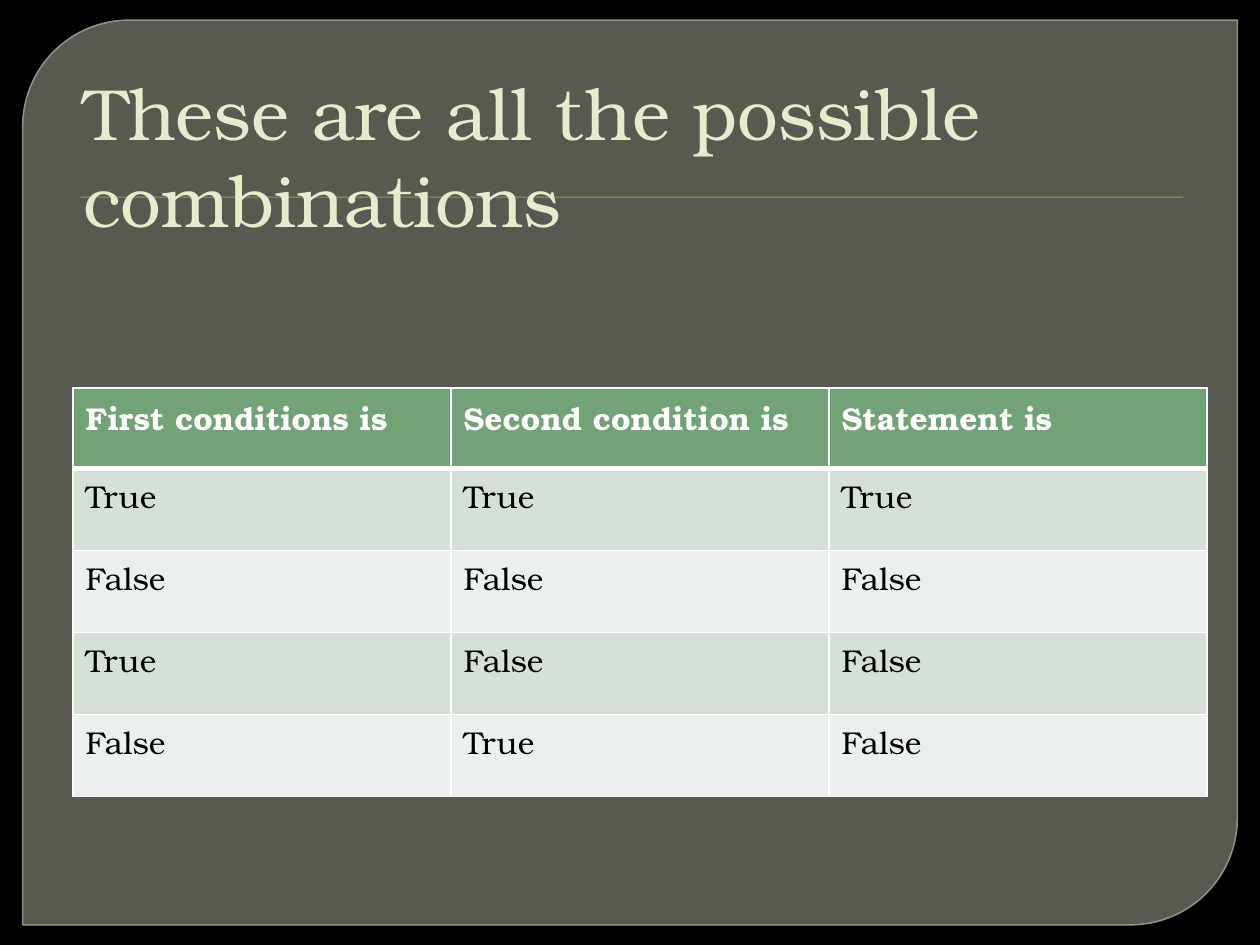
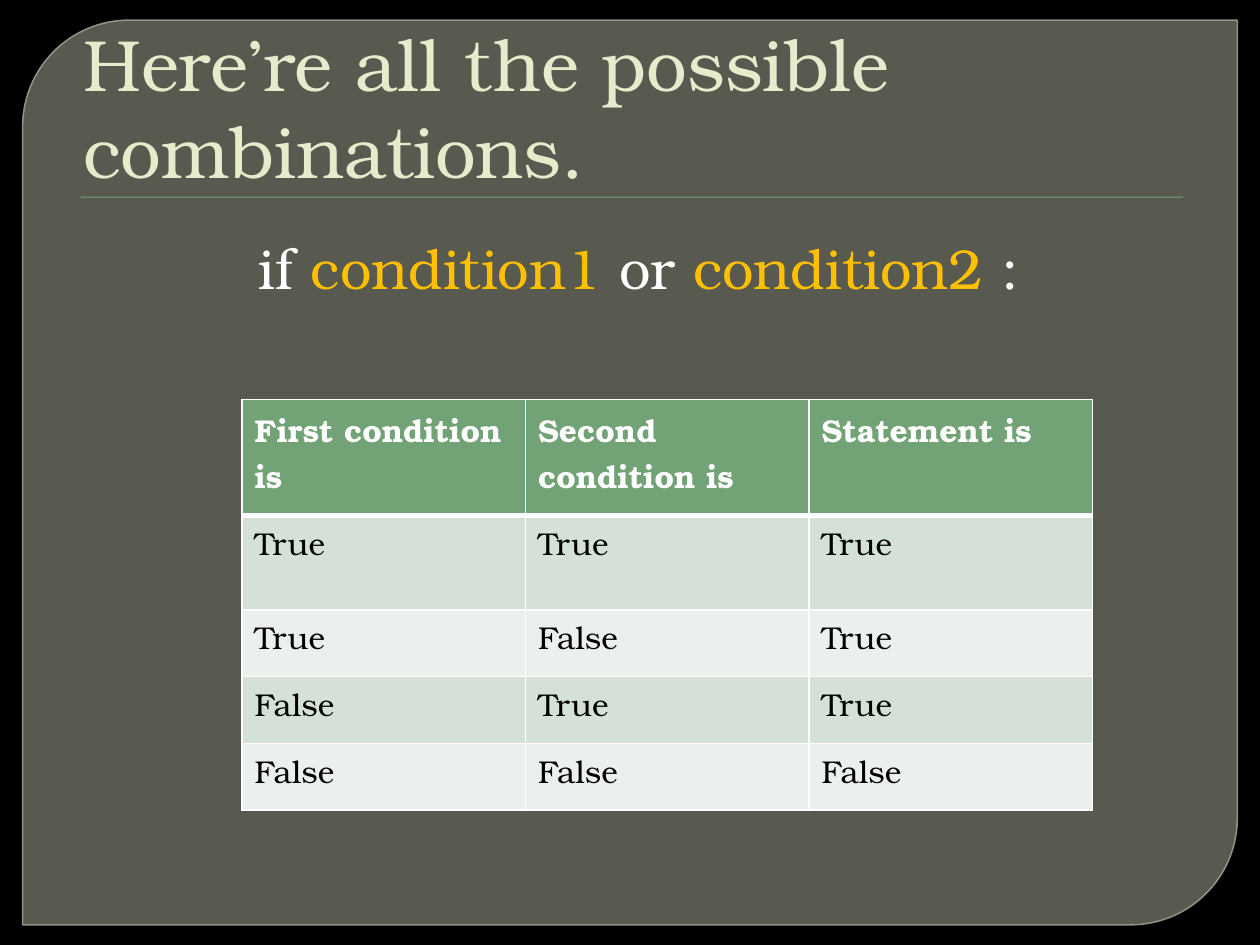
from pptx import Presentation
from pptx.dml.color import RGBColor
from pptx.enum.shapes import MSO_SHAPE as SHAPE
from pptx.enum.text import MSO_ANCHOR as ANCHOR, MSO_AUTO_SIZE as AUTO, PP_ALIGN as ALIGN
from pptx.oxml.ns import qn
from pptx.util import Inches, Pt
from lxml import etree

FONT = "TeX Gyre Bonum"
BLACK, WHITE, GREEN = "000000", "FFFFFF", "72A376"
CREAM, AMBER = "E7EACB", "FFC000"
BANDS = ["D5E0D6", "EBF0EC"]


def paint(fill, color, alpha=None):
    fill.solid()
    fill.fore_color.rgb = RGBColor.from_string(color)
    if alpha:
        clr = fill._xPr.find(".//" + qn("a:srgbClr"))
        etree.SubElement(clr, qn("a:alpha"), val=str(alpha * 1000))


def style(r, size, color, bold=False):
    r.font.name, r.font.size, r.font.bold = FONT, Pt(size), bold
    paint(r.font.fill, color)


prs = Presentation()
prs.slide_width, prs.slide_height = Inches(10), Inches(7.5)
master = prs.slide_master
paint(master.background.fill, BLACK)

code_line = [(" if ", WHITE), ("condition1", AMBER), (" or ", WHITE),
             ("condition2", AMBER), (" :", WHITE)]
slides = [
    dict(title="These are all the possible combinations", title_height=1.64, code=[],
         left=0.58, top=3.08, col_width=3, row_heights=[0.64] + [0.65] * 4,
         rows=["First conditions is|Second condition is|Statement is",
               "True|True|True", "False|False|False",
               "True|False|False", "False|True|False"]),
    dict(title="Here’re all the possible combinations.", title_height=1.25, code=code_line,
         left=1.92, top=3.17, col_width=2.25, row_heights=[0.92, 0.75] + [0.53] * 3,
         rows=["First condition is|Second condition is|Statement is",
               "True|True|True", "True|False|True",
               "False|True|True", "False|False|False"]),
]

for number, d in enumerate(slides):
    s = prs.slides.add_slide(prs.slide_layouts[1 if d["code"] else 5])

    # Frame and title rule, moved to the master so every slide shows them
    if number == 0:
        frame = s.shapes.add_shape(SHAPE.ROUND_2_DIAG_RECTANGLE, Inches(0.18), Inches(0.16),
                                   Inches(9.64), Inches(7.18))
        frame.adjustments[0], frame.adjustments[1] = 0.118, 0
        paint(frame.fill, "888B7B", 65)
        paint(frame.line.fill, "9DA090", 88)
        frame.line.width = Pt(0.87)
        rule = s.shapes.add_shape(SHAPE.RECTANGLE, Inches(0.64), Inches(1.56),
                                  Inches(8.75), Inches(0.01))
        paint(rule.fill, GREEN)
        rule.line.fill.background()
        for i, sp in enumerate([frame, rule]):
            sp.shadow.inherit = False
            master.shapes._spTree.insert(2 + i, sp._element)

    # Title
    title = s.shapes.title
    title.left, title.top = Inches(0.5), Inches(0.28)
    title.width, title.height = Inches(9), Inches(d["title_height"])
    tf = title.text_frame
    tf.text = d["title"]
    tf.auto_size, tf.vertical_anchor, tf.margin_bottom = AUTO.NONE, ANCHOR.BOTTOM, 0
    p = tf.paragraphs[0]
    p.alignment, p.line_spacing = ALIGN.LEFT, Pt(49.7)
    p._p.get_or_add_pPr().set("marL", str(Inches(0.06)))
    style(p.runs[0], 41.4, CREAM)

    # Line of code
    if d["code"]:
        body = s.placeholders[1]
        body.left, body.top = Inches(0.5), Inches(1.8)
        body.width, body.height = Inches(9), Inches(4.95)
        tf = body.text_frame
        tf.auto_size = AUTO.NONE
        p = tf.paragraphs[0]
        p.alignment, p.space_before = ALIGN.CENTER, Pt(0)
        pPr = p._p.get_or_add_pPr()
        pPr.set("marL", str(Inches(0.32)))
        pPr.set("indent", str(Inches(-0.32)))
        etree.SubElement(pPr, qn("a:buNone"))
        for text, color in d["code"]:
            r = p.add_run()
            r.text = text
            style(r, 32, color)

    # Truth table
    rows = [row.split("|") for row in d["rows"]]
    table = s.shapes.add_table(len(rows), 3, Inches(d["left"]), Inches(d["top"]),
                               Inches(3 * d["col_width"]), Inches(sum(d["row_heights"]))).table
    for col in table.columns:
        col.width = Inches(d["col_width"])
    for i, row in enumerate(rows):
        table.rows[i].height = Inches(d["row_heights"][i])
        for j, text in enumerate(row):
            cell = table.cell(i, j)
            cell.text = text
            style(cell.text_frame.paragraphs[0].runs[0], 18, BLACK if i else WHITE, i == 0)
            # Borders come before the fill; the header's lower edge is thick
            tcPr = cell._tc.get_or_add_tcPr()
            for side in "LRTB":
                thick = (i, side) in [(0, "B"), (1, "T")]
                ln = etree.SubElement(tcPr, qn("a:ln" + side), w=str(Pt(3 if thick else 1)))
                etree.SubElement(etree.SubElement(ln, qn("a:solidFill")),
                                 qn("a:srgbClr"), val=WHITE)
            paint(cell.fill, BANDS[(i - 1) % 2] if i else GREEN)

prs.save("out.pptx")
